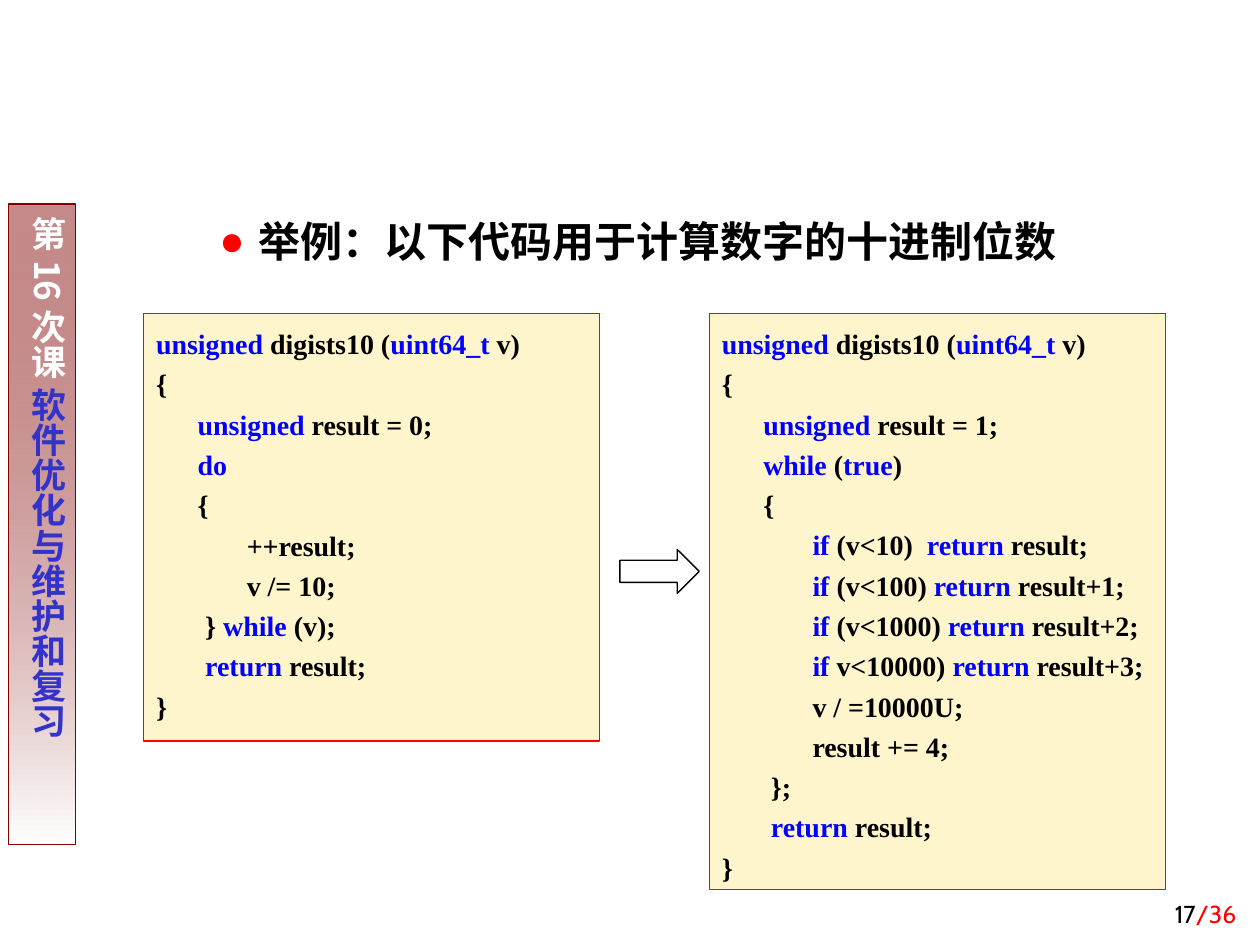
from lxml import etree
from pptx import Presentation
from pptx.dml.color import RGBColor
from pptx.enum.shapes import MSO_SHAPE
from pptx.enum.text import MSO_ANCHOR, PP_ALIGN
from pptx.oxml.ns import qn
from pptx.util import Inches, Pt

RECT, RIGHT_ARROW = MSO_SHAPE.RECTANGLE, MSO_SHAPE.RIGHT_ARROW
TOP, BOTTOM = MSO_ANCHOR.TOP, MSO_ANCHOR.BOTTOM
LEFT, CENTER, RIGHT = PP_ALIGN.LEFT, PP_ALIGN.CENTER, PP_ALIGN.RIGHT

COLORS = {"text": "000000", "keyword": "0000FF", "accent": "FF0000",
          "code_bg": "FFF5CC", "maroon": "800000", "white": "FFFFFF",
          "topic": "3333CC"}
SERIF, SANS, CJK = "Times New Roman", "Cabin", "Noto Sans CJK SC"
INDENTS = {0: 0, 1: 0.33, 2: 0.39, 3: 0.72}

# Code as (indent step, text); keywords stand between backticks
LOOP_CODE = [
    (0, "`unsigned` digists10 (`uint64_t` v)"),
    (0, "{"),
    (1, "`unsigned` result = 0;"),
    (1, "`do`"),
    (1, "{"),
    (3, "++result;"),
    (3, "v /= 10;"),
    (2, "} `while` (v);"),
    (2, "`return` result;"),
    (0, "}"),
]
UNROLLED_CODE = [
    (0, "`unsigned` digists10 (`uint64_t` v)"),
    (0, "{"),
    (1, "`unsigned` result = 1;"),
    (1, "`while` (`true`)"),
    (1, "{"),
    (3, "`if` (v<10)  `return` result;"),
    (3, "`if` (v<100) `return` result+1;"),
    (3, "`if` (v<1000) `return` result+2;"),
    (3, "`if` v<10000) `return` result+3;"),
    (3, "v / =10000U;"),
    (3, "result += 4;"),
    (2, "};"),
    (2, "`return` result;"),
    (0, "}"),
]


def rgb(name):
    return RGBColor.from_string(COLORS[name])


def add_run(p, text, color, east_asian=None):
    r = p.add_run()
    r.text = text
    r.font.color.rgb = rgb(color)
    if east_asian:
        r.font.name = SERIF if p.font.name == SERIF else east_asian
        etree.SubElement(r.font._element, qn("a:ea"), typeface=east_asian)


prs = Presentation()
prs.slide_width, prs.slide_height = Inches(10), Inches(7.5)
s = prs.slides.add_slide(prs.slide_layouts[1])
title = s.shapes.title
title._element.getparent().remove(title._element)

# Vertical lesson bar with a fading fill
sp = s.shapes.add_shape(RECT, Inches(0.07), Inches(1.62), Inches(0.53), Inches(5.08))
sp.shadow.inherit = False
sp.fill.gradient()
sp.fill.gradient_angle = 270
for stop, position, color in zip(sp.fill.gradient_stops, (0, 1), ("maroon", "white")):
    stop.position = position
    stop.color.rgb = rgb(color)
first_color = sp._element.spPr.find(".//" + qn("a:srgbClr"))
etree.SubElement(first_color, qn("a:alpha"), val="46000")
sp.line.color.rgb = rgb("maroon")
sp.line.width = Pt(0.75)
tf = sp.text_frame
tf.word_wrap = True
tf.vertical_anchor = TOP
tf.margin_left = tf.margin_right = Inches(0.05)
tf.margin_top = tf.margin_bottom = Inches(0.1)
tf._txBody.bodyPr.set("vert", "eaVert")
p = tf.paragraphs[0]
p.alignment = CENTER
p.font.size, p.font.bold, p.font.name = Pt(20), True, CJK
add_run(p, "第16次课 ", "white", CJK)
add_run(p, "软件优化与维护和复习", "topic", CJK)

# Page number
tf = s.shapes.add_textbox(Inches(7.83), Inches(6.92), Inches(2.08), Inches(0.5)).text_frame
tf.word_wrap = True
tf.vertical_anchor = BOTTOM
p = tf.paragraphs[0]
p.alignment = RIGHT
p.font.size, p.font.name = Pt(14), SANS
add_run(p, "17", "text")
add_run(p, "/36", "accent")

# Bulleted heading
body = s.placeholders[1]
body.left, body.top = Inches(1.14), Inches(1.46)
body.width, body.height = Inches(8.66), Inches(1.27)
p = body.text_frame.paragraphs[0]
p.level = 1
p.line_spacing = 1.5
p.space_before = Pt(0)
p.font.size, p.font.bold, p.font.name = Pt(24), True, SERIF
pPr = p._p.get_or_add_pPr()
pPr.set("marL", str(Inches(0.81)))
pPr.set("indent", str(Inches(-0.31)))
bullet_color = etree.Element(qn("a:buClr"))
etree.SubElement(bullet_color, qn("a:srgbClr"), val=COLORS["accent"])
bullet = etree.Element(qn("a:buChar"), char="●")
for element in (bullet_color, bullet):
    pPr.find(qn("a:defRPr")).addprevious(element)
add_run(p, "举例：以下代码用于计算数字的十进制位数", "text", CJK)

# Code boxes, before and after
for left, height, code in ((1.14, 3.39, LOOP_CODE), (5.63, 4.57, UNROLLED_CODE)):
    sp = s.shapes.add_shape(RECT, Inches(left), Inches(2.49), Inches(3.62), Inches(height))
    sp.shadow.inherit = False
    sp.fill.solid()
    sp.fill.fore_color.rgb = rgb("code_bg")
    sp.line.color.rgb = rgb("accent")
    sp.line.width = Pt(0.75)
    tf = sp.text_frame
    tf.word_wrap = True
    tf.vertical_anchor = TOP
    for i, (step, line) in enumerate(code):
        p = tf.add_paragraph() if i else tf.paragraphs[0]
        p.alignment = LEFT
        p.line_spacing = 1.2
        p.font.size, p.font.bold, p.font.name = Pt(16), True, SERIF
        p._p.get_or_add_pPr().set("marL", str(Inches(INDENTS[step])))
        for j, part in enumerate(line.split("`")):
            if part:
                add_run(p, part, "keyword" if j % 2 else "text")

# Arrow between the two versions
sp = s.shapes.add_shape(RIGHT_ARROW, Inches(4.92), Inches(4.36), Inches(0.63), Inches(0.35))
sp.shadow.inherit = False
sp.fill.background()
sp.line.color.rgb = rgb("text")
sp.line.width = Pt(0.75)

prs.save("out.pptx")
